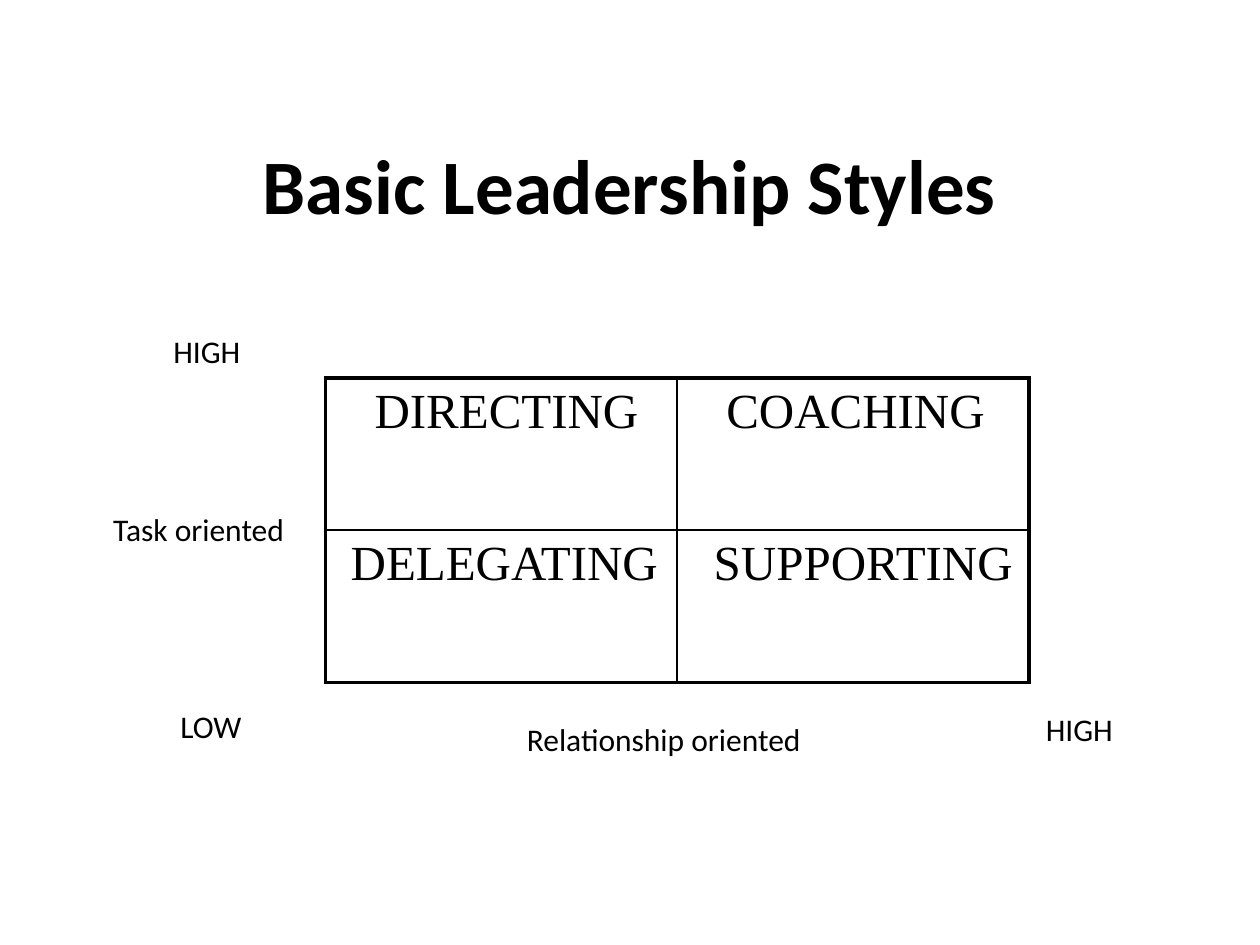
import pptx
import pptx.util
import pptx.dml.color
import pptx.enum.text
import pptx.oxml.ns
from lxml import etree

BLACK = "000000"
ANCHOR = pptx.enum.text.MSO_ANCHOR
ALIGN = pptx.enum.text.PP_ALIGN

deck = pptx.Presentation()
deck.slide_width = pptx.util.Inches(10)
deck.slide_height = pptx.util.Inches(7.5)
slide = deck.slides.add_slide(deck.slide_layouts[6])

# Grid of 120 columns by 90 rows
UNIT = deck.slide_width / 120


def grid(*counts):
    return [round(count * UNIT) for count in counts]


def style(paragraph, size, face, bold=False):
    paragraph.font.size = pptx.util.Pt(size)
    paragraph.font.name = face
    paragraph.font.bold = bold
    paragraph.font.color.rgb = pptx.dml.color.RGBColor.from_string(BLACK)


# Title and axis labels: text, place, left inset in inches, size, bold, anchor, alignment
labels = [
    ("Basic Leadership Styles", (9, 8, 102, 19), 0.1, 44, True, ANCHOR.MIDDLE, ALIGN.CENTER),
    ("HIGH", (14, 31, 15.25, 4.8), 0.21, 18, False, ANCHOR.TOP, ALIGN.LEFT),
    ("LOW", (16, 63, 15.25, 8.5), 0.1, 18, False, ANCHOR.BOTTOM, ALIGN.LEFT),
    ("HIGH", (93, 67, 15, 4.8), 0.55, 18, False, ANCHOR.TOP, ALIGN.LEFT),
    ("Task oriented", (9.6, 48, 20.4, 4.8), 0.1, 18, False, ANCHOR.TOP, ALIGN.LEFT),
    ("Relationship oriented", (49, 68, 29, 10.8), 0.1, 18, False, ANCHOR.TOP, ALIGN.LEFT),
]
for wording, place, inset, size, bold, anchor, alignment in labels:
    frame = slide.shapes.add_textbox(*grid(*place)).text_frame
    frame.word_wrap = True
    frame.margin_left = pptx.util.Inches(inset)
    frame.vertical_anchor = anchor
    frame.text = wording
    frame.paragraphs[0].alignment = alignment
    style(frame.paragraphs[0], size, "Calibri", bold)

# Matrix of styles: text and left inset in inches
styles = [
    [("DIRECTING", 0.39), ("COACHING", 0.39)],
    [("DELEGATING", 0.2), ("SUPPORTING", 0.29)],
]
matrix = slide.shapes.add_table(2, 2, *grid(31, 36, 67, 29)).table
matrix.first_row = matrix.horz_banding = False

for row, entries in enumerate(styles):
    for column, (wording, inset) in enumerate(entries):
        cell = matrix.cell(row, column)
        cell.text = wording
        cell.margin_left = pptx.util.Inches(inset)
        style(cell.text_frame.paragraphs[0], 28, "Times New Roman")

        # Thick outer borders, thin inner ones; borders precede the fill in the XML
        outer = {"lnL": column == 0, "lnR": column == 1, "lnT": row == 0, "lnB": row == 1}
        properties = cell._tc.get_or_add_tcPr()
        for side, is_outer in outer.items():
            width = pptx.util.Pt(2.25 if is_outer else 1)
            border = etree.SubElement(properties, pptx.oxml.ns.qn("a:" + side), w=str(width))
            paint = etree.SubElement(border, pptx.oxml.ns.qn("a:solidFill"))
            etree.SubElement(paint, pptx.oxml.ns.qn("a:srgbClr"), val=BLACK)
        cell.fill.background()

deck.save("out.pptx")
